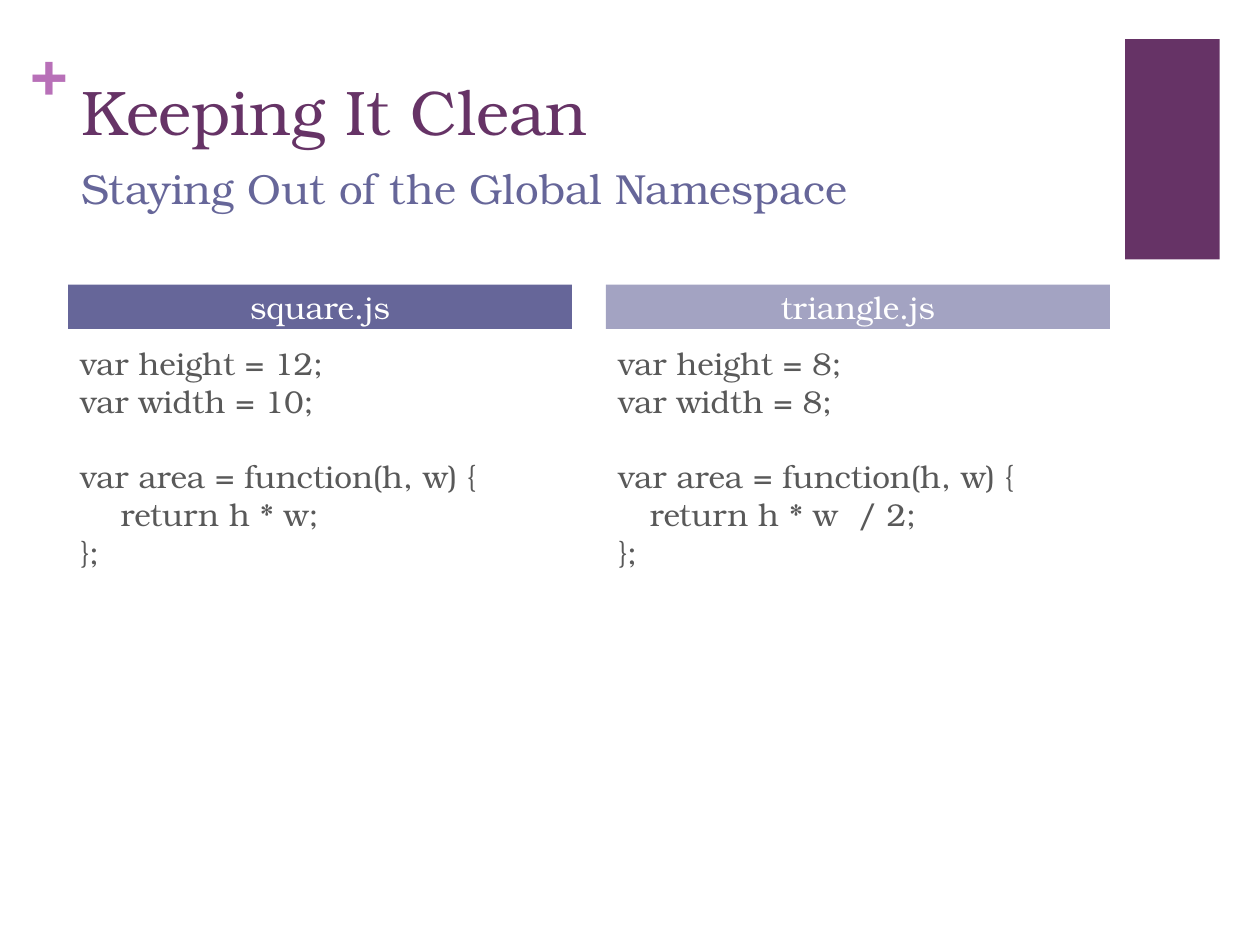
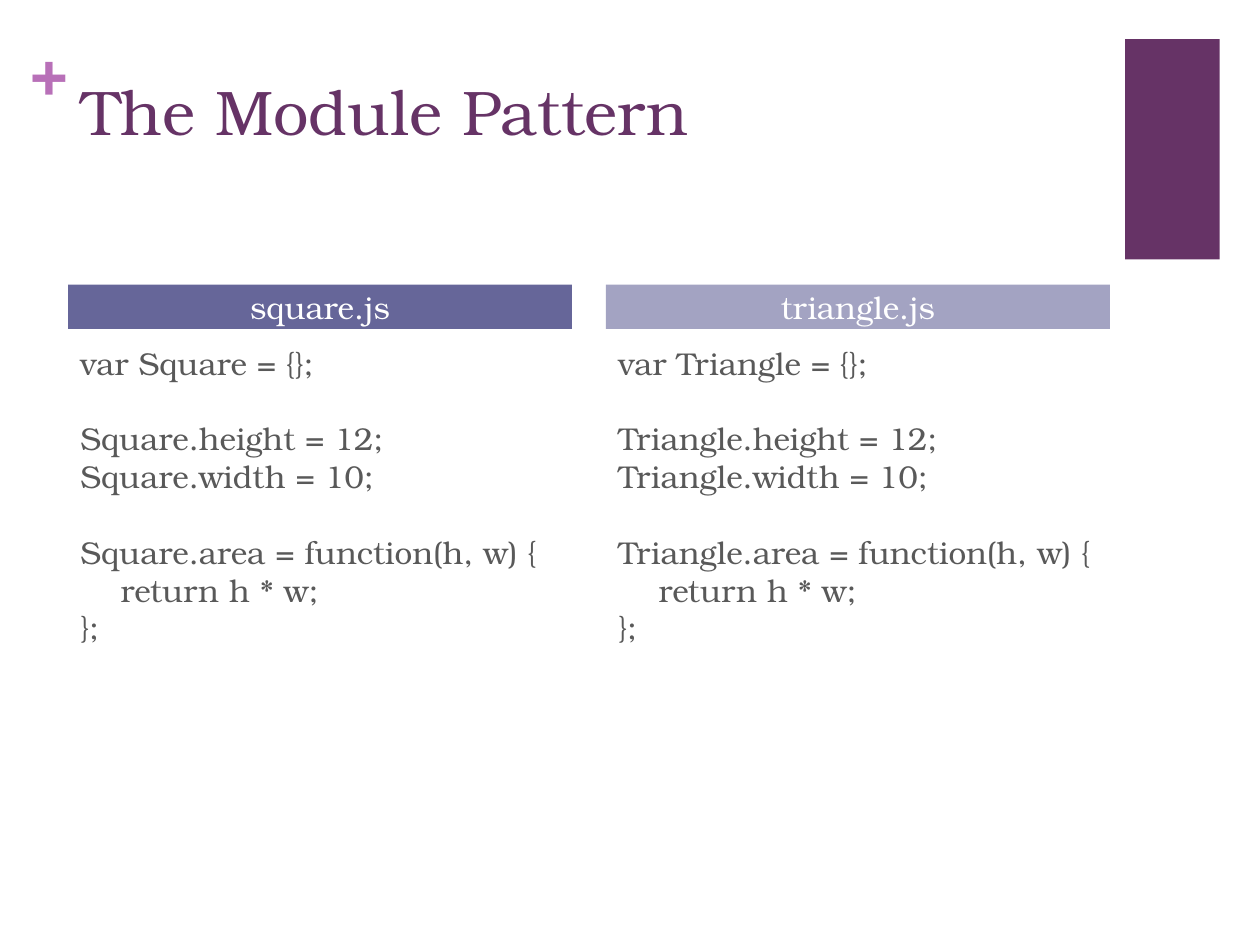
from pptx import Presentation
from pptx.dml.color import RGBColor
from pptx.enum.shapes import MSO_SHAPE as Shape
from pptx.enum.text import MSO_ANCHOR as Anchor, PP_ALIGN as Align
from pptx.util import Inches, Pt

PLUM, PINK, BLUE, PALE, GREY, WHITE = (
    "663366", "B870B8", "666699", "A3A3C2", "595959", "FFFFFF")
FONT = "TeX Gyre Bonum"
LINE = Pt(21.6)
HEAD = 0.35
DROP = 0.42
SLIDES = [
    ("Keeping It Clean", "Staying Out of the Global Namespace", [
        ("square.js", BLUE, 0.32, [
            ["var height = 12;", "var width = 10;"],
            ["var area = function(h, w) {", "return h * w;", "};"]]),
        ("triangle.js", PALE, 0.25, [
            ["var height = 8;", "var width = 8;"],
            ["var area = function(h, w) {", "return h * w  / 2;", "};"]])]),
    ("The Module Pattern", None, [
        (f"{name.lower()}.js", fill, 0.32, [
            [f"var {name} = {{}};"],
            [f"{name}.height = 12;", f"{name}.width = 10;"],
            [f"{name}.area = function(h, w) {{", "return h * w;", "};"]])
        for name, fill in (("Square", BLUE), ("Triangle", PALE))]),
]


def paint(fmt, color):
    """Give a font or fill a colour from a hex string."""
    if hasattr(fmt, "solid"):
        fmt.solid()
        fmt.fore_color.rgb = RGBColor.from_string(color)
    else:
        fmt.color.rgb = RGBColor.from_string(color)


def put(item, **vals):
    """Set each given value as an attribute of the item."""
    for key, val in vals.items():
        setattr(item, key, val)


def write(para, text, size, color, bold=False):
    """Fill a paragraph with one run of styled text."""
    run = para.add_run()
    run.text = text
    put(run.font, name=FONT, size=Pt(size), bold=bold)
    paint(run.font, color)


def frame(slide, box):
    """Add a wrapping text box and return its text frame."""
    text = slide.shapes.add_textbox(*map(Inches, box)).text_frame
    text.word_wrap = True
    return text


def block(slide, box, color):
    """Add a plain filled rectangle."""
    shape = slide.shapes.add_shape(Shape.RECTANGLE, *map(Inches, box))
    shape.shadow.inherit = False
    paint(shape.fill, color)
    shape.line.fill.background()
    return shape


def decor(slide, left, top):
    """Add the plus sign and the corner band."""
    block(slide, (left + 8.69, top + 0.06, 0.75, 1.75), PLUM)
    text = frame(slide, (left, top, 0.29, 0.61))
    put(text, margin_left=0, margin_top=0, margin_right=0, margin_bottom=0)
    write(text.paragraphs[0], "+", 36, PINK, True)


def title(slide, box, main, sub):
    """Write the title and, if there is one, the subtitle below it."""
    left, top, width, height = box
    write(frame(slide, box).paragraphs[0], main, 36, PLUM)
    if sub:
        low = frame(slide, (left, top + 0.71, width, 0.85))
        write(low.paragraphs[0], sub, 24, BLUE)


def code(slide, box, groups, dent):
    """Write groups of code lines, one line of space between groups."""
    text = frame(slide, box)
    para = text.paragraphs[0]
    for num, group in enumerate(groups):
        for row, line in enumerate(group):
            if num or row:
                para = text.add_paragraph()
            if num and not row:
                para.space_before = LINE
            if line.startswith("return"):
                para._p.get_or_add_pPr().set("marL", str(Inches(dent)))
            write(para, line, 18, GREY)


def panel(slide, box, name, fill, dent, groups):
    """Add a file name bar with its code below."""
    left, top, width, height = box
    text = block(slide, (left, top, width, HEAD), fill).text_frame
    put(text, margin_top=0, margin_bottom=0, vertical_anchor=Anchor.MIDDLE,
        word_wrap=True)
    para = text.paragraphs[0]
    para.alignment = Align.CENTER
    write(para, name, 18, WHITE)
    code(slide, (left, top + DROP, width, height - DROP), groups, dent)


def page(deck, main, sub, panels):
    """Build one slide comparing two files."""
    slide = deck.slides.add_slide(deck.slide_layouts[6])
    decor(slide, 0.24, 0.25)
    title(slide, (0.55, 0.53, 8.26, 1.22), main, sub)
    for num, part in enumerate(panels):
        panel(slide, (0.54 + 4.27 * num, 2.26, 4, 4.44), *part)


deck = Presentation()
put(deck, slide_width=Inches(10), slide_height=Inches(7.5))
for entry in SLIDES:
    page(deck, *entry)
deck.save("out.pptx")
